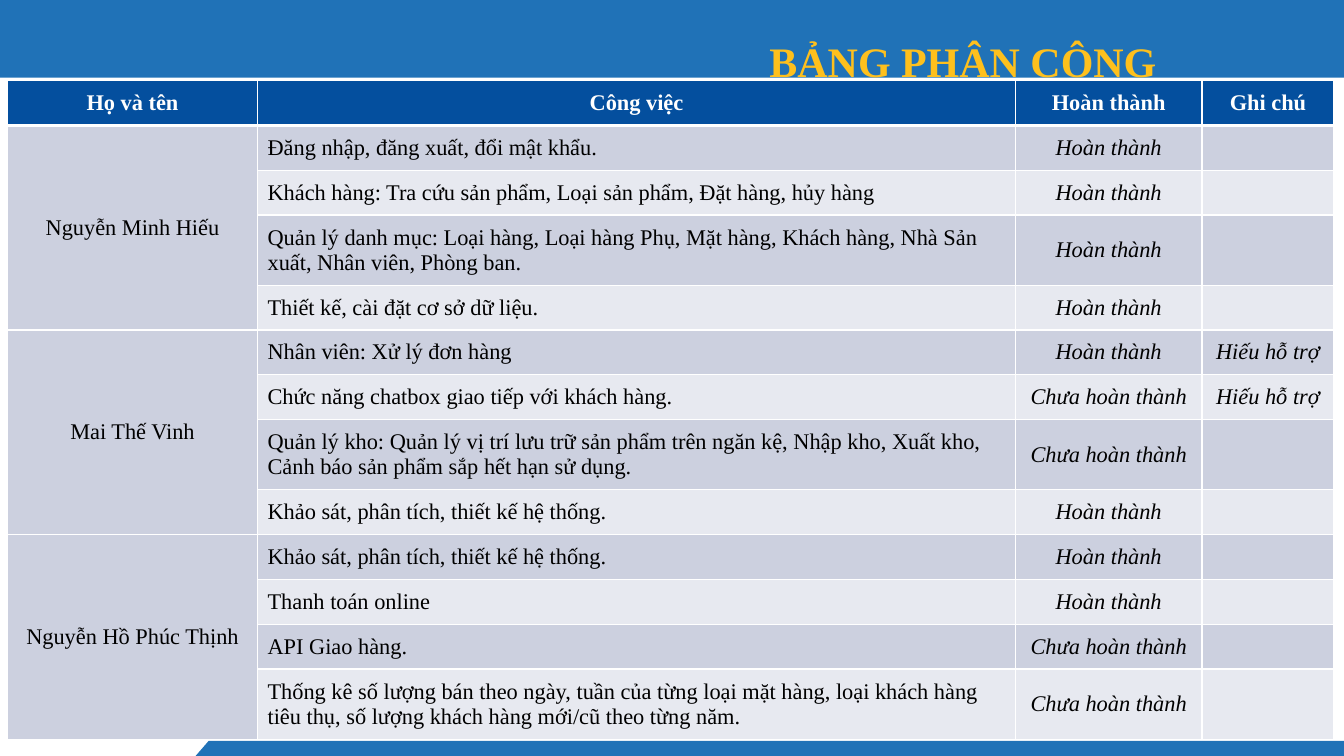
from lxml import etree
from pptx import Presentation
from pptx.dml import color
from pptx.enum import shapes, text
from pptx.oxml import ns
from pptx.util import Cm, Pt

BLUE, NAVY, GOLD, WHITE, BLACK = "2072B7", "044F9E", "FEC01D", "FFFFFF", "000000"
BANDS = ["CCD0DF", "E7E9F0"]
MID = text.PP_ALIGN.CENTER
DONE, OPEN, HELP = "Hoàn thành", "Chưa hoàn thành", "Hiếu hỗ trợ"
SURVEY = "Khảo sát, phân tích, thiết kế hệ thống."
HEADS = ["Họ và tên", "Công việc", "Hoàn thành", "Ghi chú"]
TEAM = {
    "Nguyễn Minh Hiếu": [
        ("Đăng nhập, đăng xuất, đổi mật khẩu.", DONE, ""),
        ("Khách hàng: Tra cứu sản phẩm, Loại sản phẩm, Đặt hàng, hủy hàng", DONE, ""),
        ("Quản lý danh mục: Loại hàng, Loại hàng Phụ, Mặt hàng, Khách hàng, "
         "Nhà Sản xuất, Nhân viên, Phòng ban.", DONE, ""),
        ("Thiết kế, cài đặt cơ sở dữ liệu.", DONE, ""),
    ],
    "Mai Thế Vinh": [
        ("Nhân viên: Xử lý đơn hàng", DONE, HELP),
        ("Chức năng chatbox giao tiếp với khách hàng.", OPEN, HELP),
        ("Quản lý kho: Quản lý vị trí lưu trữ sản phẩm trên ngăn kệ, Nhập kho, "
         "Xuất kho, Cảnh báo sản phẩm sắp hết hạn sử dụng.", OPEN, ""),
        (SURVEY, DONE, ""),
    ],
    "Nguyễn Hồ Phúc Thịnh": [
        (SURVEY, DONE, ""),
        ("Thanh toán online", DONE, ""),
        ("API Giao hàng.", OPEN, ""),
        ("Thống kê số lượng bán theo ngày, tuần của từng loại mặt hàng, loại khách hàng "
         "tiêu thụ, số lượng khách hàng mới/cũ theo từng năm.", OPEN, ""),
    ],
}


def paint(fill, tone):
    fill.solid()
    fill.fore_color.rgb = color.RGBColor.from_string(tone)


def write(frame, words, size=16, tone=BLACK, bold=False, slant=False, align=MID):
    para = frame.paragraphs[0]
    para.alignment = align
    run = para.add_run()
    run.text = words
    font = run.font
    font.name, font.size, font.bold, font.italic = "Times New Roman", Pt(size), bold, slant
    paint(font.fill, tone)
    return para


deck = Presentation()
deck.slide_width, deck.slide_height = Cm(33.87), Cm(19.05)
slide = deck.slides.add_slide(deck.slide_layouts[5])
parts = slide.shapes

bar = parts.add_shape(shapes.MSO_SHAPE.RECTANGLE, 0, 0, Cm(33.87), Cm(1.96))
pen = parts.build_freeform(Cm(5.26), Cm(18.67))
pen.add_line_segments([(Cm(33.87), Cm(18.67)), (Cm(33.87), Cm(19.05)), (Cm(4.93), Cm(19.05))])
foot = pen.convert_to_shape()
for band in (bar, foot):
    band.shadow.inherit = False
    paint(band.fill, BLUE)
    band.line.fill.background()

title = parts.title
title.left, title.top, title.width, title.height = Cm(14.68), Cm(0.36), Cm(19.18), Cm(1.93)
title.text_frame.auto_size = text.MSO_AUTO_SIZE.NONE
title.text_frame.vertical_anchor = text.MSO_ANCHOR.BOTTOM
write(title.text_frame, "BẢNG PHÂN CÔNG", size=30, tone=GOLD, bold=True).line_spacing = 2.0
foot._element.addnext(title._element)

jobs = [job for group in TEAM.values() for job in group]
grid = parts.add_table(len(jobs) + 1, 4, Cm(0.19), Cm(2.03), Cm(33.43), Cm(16.61)).table
for col, width in zip(grid.columns, [6.3, 19.1, 4.7, 3.33]):
    col.width = Cm(width)

for r, row in enumerate(grid.rows):
    row.height = Cm(1.77 if r and len(jobs[r - 1][0]) > 80 else 1.13)
    for c, cell in enumerate(row.cells):
        cell.vertical_anchor = text.MSO_ANCHOR.MIDDLE
        props = cell._tc.get_or_add_tcPr()
        for side in "LRTB":
            thick = (r, side) in [(0, "B"), (1, "T")]
            edge = etree.SubElement(props, ns.qn("a:ln" + side), w=str(Pt(3 if thick else 1)))
            fill = etree.SubElement(edge, ns.qn("a:solidFill"))
            etree.SubElement(fill, ns.qn("a:srgbClr"), val=WHITE)
        if r == 0:
            paint(cell.fill, NAVY)
            write(cell.text_frame, HEADS[c], tone=WHITE, bold=True)
            continue
        paint(cell.fill, BANDS[(r - 1) % 2 if c else 0])
        if c and jobs[r - 1][c - 1]:
            write(cell.text_frame, jobs[r - 1][c - 1], slant=c > 1,
                  align=MID if c > 1 else text.PP_ALIGN.LEFT)

top = 1
for name, group in TEAM.items():
    cell = grid.cell(top, 0)
    cell.merge(grid.cell(top + len(group) - 1, 0))
    write(cell.text_frame, name)
    top += len(group)

deck.save("out.pptx")
